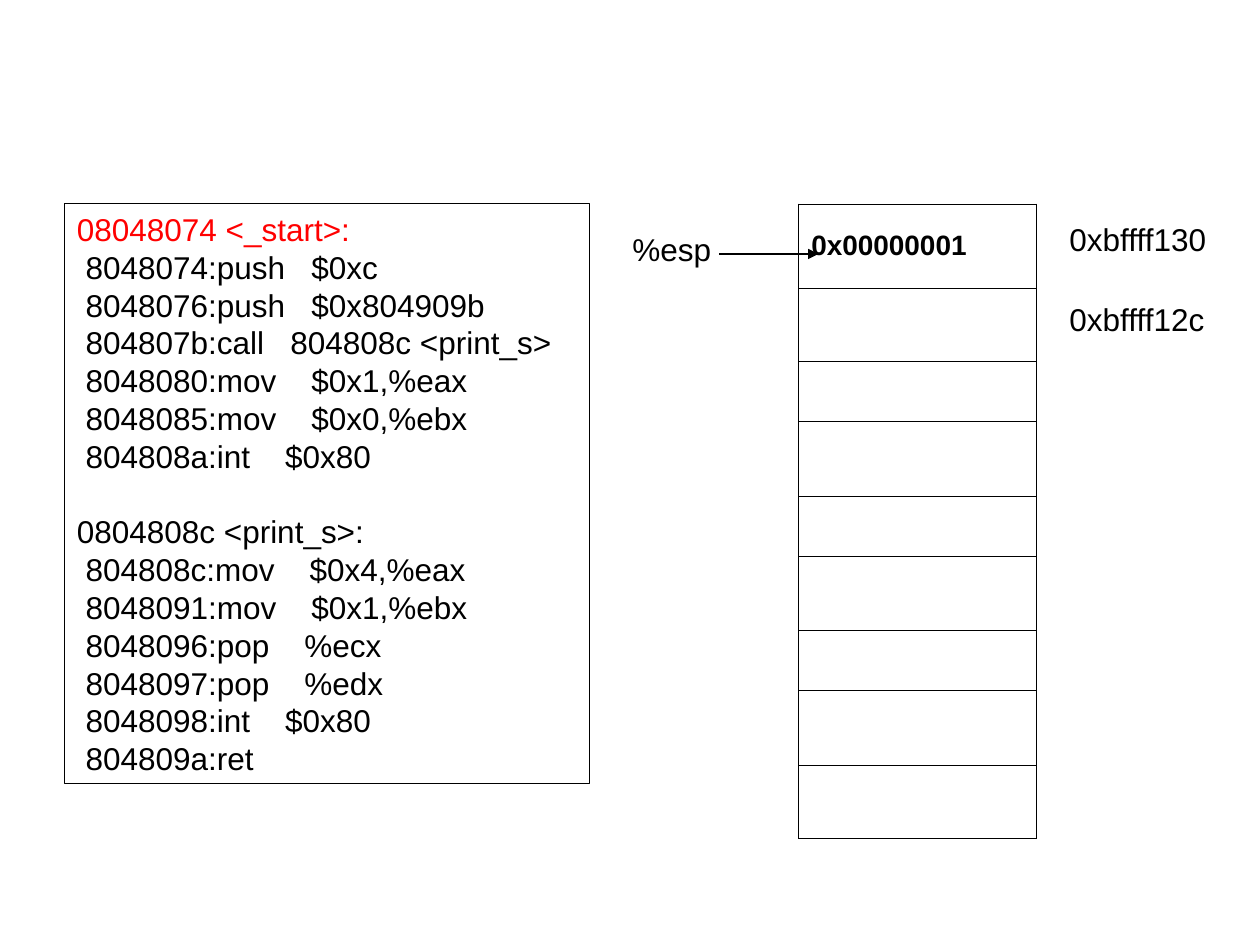
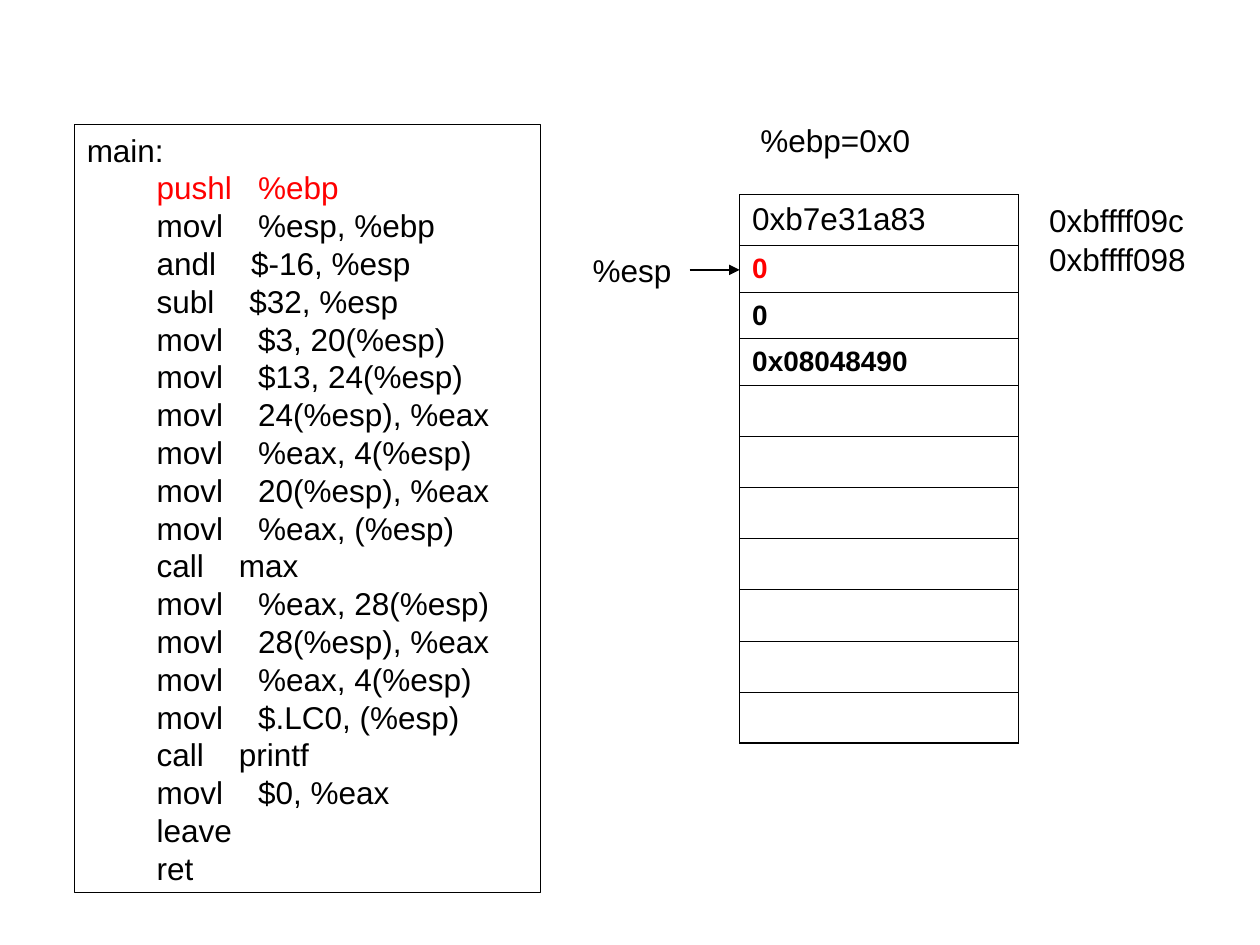
from lxml import etree
from pptx import Presentation
from pptx.dml.color import RGBColor
from pptx.enum.shapes import MSO_CONNECTOR, MSO_SHAPE
from pptx.enum.text import MSO_ANCHOR, PP_ALIGN
from pptx.oxml import parse_xml
from pptx.oxml.ns import nsdecls, qn
from pptx.util import Cm, Pt

BLACK = RGBColor(0x00, 0x00, 0x00)
RED = RGBColor(0xFF, 0x00, 0x00)
FONT = "Arial"
LABEL_HEIGHT = 1.02
BLANK_LINE = 21.6

START_CODE = """08048074 <_start>:
 8048074:push   $0xc
 8048076:push   $0x804909b
 804807b:call   804808c <print_s>
 8048080:mov    $0x1,%eax
 8048085:mov    $0x0,%ebx
 804808a:int    $0x80

0804808c <print_s>:
 804808c:mov    $0x4,%eax
 8048091:mov    $0x1,%ebx
 8048096:pop    %ecx
 8048097:pop    %edx
 8048098:int    $0x80
 804809a:ret"""

MAIN_CODE = """main:
        pushl   %ebp
        movl    %esp, %ebp
        andl    $-16, %esp
        subl    $32, %esp
        movl    $3, 20(%esp)
        movl    $13, 24(%esp)
        movl    24(%esp), %eax
        movl    %eax, 4(%esp)
        movl    20(%esp), %eax
        movl    %eax, (%esp)
        call    max
        movl    %eax, 28(%esp)
        movl    28(%esp), %eax
        movl    %eax, 4(%esp)
        movl    $.LC0, (%esp)
        call    printf
        movl    $0, %eax
        leave
        ret"""

# Lengths in cm; boxes are left, top, width, height.
# Stack values are text, size, bold, colour; labels are text, left, top, width.
STEPS = [
    {
        "code": START_CODE, "current_line": 0, "code_box": (1.3, 4.11, 10.59, 11.68),
        "stack_box": (16.1, 4.11, 4.8),
        "row_heights": [1.7, 1.48] + [1.21, 1.5] * 3 + [1.48],
        "stack_values": [("0x00000001", 16, True, BLACK)],
        "labels": [("0xbffff130", 21.31, 4.32, 3.4), ("%esp", 12.5, 4.52, 2.21),
                   ("0xbffff12c", 21.31, 5.92, 3.4)],
        "arrow": (14.5, 16.5, 5.12),
    },
    {
        "code": MAIN_CODE, "current_line": 1, "code_box": (1.5, 2.51, 9.4, 15.49),
        "stack_box": (14.91, 3.92, 5.61),
        "row_heights": [1.03] + [0.94] * 3 + [1.02] * 7,
        "stack_values": [("0xb7e31a83", 18, False, BLACK), ("0", 16, True, RED),
                         ("0", 16, True, BLACK), ("0x08048490", 16, True, BLACK)],
        "labels": [("%esp", 11.7, 4.93, 2.41), ("%ebp=0x0", 15.08, 2.31, 6.02),
                   ("0xbffff09c", 20.9, 3.92, 3.61), ("0xbffff098", 20.9, 4.72, 3.61)],
        "arrow": (13.9, 14.91, 5.44),
    },
]


def write(text_frame, text, size=18, bold=False, color=BLACK, red_line=None):
    """Fill a text frame line by line; an empty line becomes space before the next."""
    text_frame.word_wrap = True
    paragraph, gap = text_frame.paragraphs[0], 0
    for index, line in enumerate(text.split("\n")):
        if not line:
            gap = BLANK_LINE
            continue
        if index:
            paragraph = text_frame.add_paragraph()
        paragraph.alignment = PP_ALIGN.LEFT
        paragraph.space_before = Pt(gap)
        run = paragraph.add_run()
        run.text = line
        run.font.name = FONT
        run.font.size = Pt(size)
        run.font.bold = bold
        run.font.color.rgb = RED if index == red_line else color
        gap = 0


def set_borders(cell, bottom_width):
    properties = cell._tc.get_or_add_tcPr()
    for side, width in (("L", 0.45), ("R", 0.45), ("T", 0.45), ("B", bottom_width)):
        properties.append(parse_xml(
            f'<a:ln{side} {nsdecls("a")} w="{Pt(width)}"><a:solidFill>'
            f'<a:srgbClr val="{BLACK}"/></a:solidFill></a:ln{side}>'))


presentation = Presentation()
presentation.slide_width = Cm(25.4)
presentation.slide_height = Cm(19.05)

for step in STEPS:
    slide = presentation.slides.add_slide(presentation.slide_layouts[6])

    # Code listing, with the current line in red
    code_box = slide.shapes.add_shape(MSO_SHAPE.RECTANGLE, *map(Cm, step["code_box"]))
    code_box.shadow.inherit = False
    code_box.fill.background()
    code_box.line.color.rgb = BLACK
    code_box.line.width = Pt(0.75)
    code_box.text_frame.vertical_anchor = MSO_ANCHOR.TOP
    write(code_box.text_frame, step["code"], red_line=step["current_line"])

    # Stack
    heights = step["row_heights"]
    stack = slide.shapes.add_table(
        len(heights), 1, *map(Cm, step["stack_box"]), Cm(sum(heights))).table
    stack.first_row = stack.horz_banding = False
    for row, height in enumerate(heights):
        stack.rows[row].height = Cm(height)
        cell = stack.cell(row, 0)
        set_borders(cell, 1.08 if row == len(heights) - 1 else 0.45)
        cell.fill.background()
        cell.vertical_anchor = MSO_ANCHOR.MIDDLE
    for row, (value, size, bold, color) in enumerate(step["stack_values"]):
        write(stack.cell(row, 0).text_frame, value, size=size, bold=bold, color=color)

    # Register and address labels
    for text, left, top, width in step["labels"]:
        label = slide.shapes.add_textbox(Cm(left), Cm(top), Cm(width), Cm(LABEL_HEIGHT))
        write(label.text_frame, text)

    # Stack pointer arrow
    start, end, height = map(Cm, step["arrow"])
    arrow = slide.shapes.add_connector(MSO_CONNECTOR.STRAIGHT, start, height, end, height)
    arrow.line.color.rgb = BLACK
    arrow.line.width = Pt(0.75)
    etree.SubElement(arrow.line._get_or_add_ln(), qn("a:tailEnd"), type="triangle")
    etree.SubElement(arrow._element.spPr, qn("a:effectLst"))

presentation.save("out.pptx")
